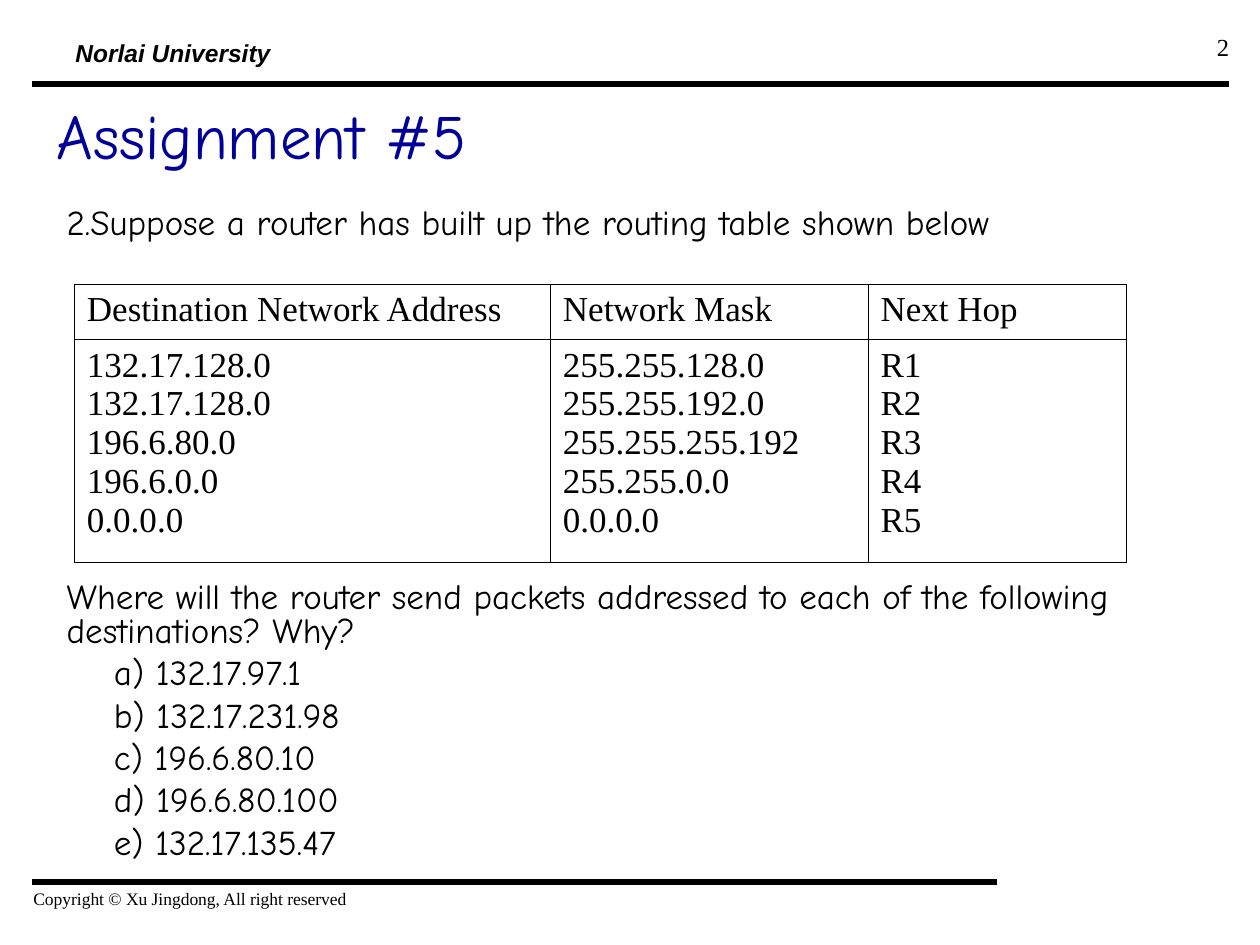
from lxml import etree
from pptx import Presentation
from pptx.dml.color import RGBColor
from pptx.enum import shapes, text
from pptx.oxml import ns
from pptx.util import Pt

BLACK = RGBColor(0x00, 0x00, 0x00)
NAVY = RGBColor(0x00, 0x00, 0x99)
SERIF, SANS, COMIC = "Times New Roman", "Arial", "Comic Neue"
HEADERS = ["Destination Network Address", "Network Mask", "Next Hop"]
ROUTES = [
    ("132.17.128.0", "255.255.128.0", "R1"),
    ("132.17.128.0", "255.255.192.0", "R2"),
    ("196.6.80.0", "255.255.255.192", "R3"),
    ("196.6.0.0", "255.255.0.0", "R4"),
    ("0.0.0.0", "0.0.0.0", "R5"),
]
PROMPT = ("Where will the router send packets addressed to each of the "
          "following destinations? Why?")
DESTINATIONS = ["a) 132.17.97.1", "b) 132.17.231.98", "c) 196.6.80.10",
                "d) 196.6.80.100", "e) 132.17.135.47"]


def apply(obj, values):
    """Set each attribute of an object from a dict."""
    for name, value in values.items():
        setattr(obj, name, value)


def fill_text(tf, lines, font, para=None):
    """Write one paragraph per line with shared formatting."""
    for i, line in enumerate(lines):
        p = tf.add_paragraph() if i else tf.paragraphs[0]
        apply(p, para or {})
        r = p.add_run()
        r.text = line
        font_values = {"name": COMIC, "size": Pt(20), **font}
        color = font_values.pop("color", BLACK)
        apply(r.font, font_values)
        r.font.color.rgb = color


def add_text(s, box, lines, font, para=None, frame=None):
    """Add a text box and return its text frame."""
    tf = s.shapes.add_textbox(*map(Pt, box)).text_frame
    apply(tf, {"word_wrap": True, **(frame or {})})
    fill_text(tf, lines, font, para)
    return tf


def add_rule(s, left, right, y):
    """Add a thick horizontal rule."""
    sp = s.shapes.add_connector(shapes.MSO_CONNECTOR.STRAIGHT,
                                Pt(left), Pt(y), Pt(right), Pt(y))
    sp.line.width = Pt(3)
    sp.line.color.rgb = BLACK
    etree.SubElement(sp._element.spPr, ns.qn("a:effectLst"))


def add_header(s, left, top, width, height):
    """Place the school name, the page number and the top rule."""
    add_text(s, (left + 18, top + 8, 132, 19.5), ["Norlai University"],
             {"name": SANS, "size": Pt(14), "bold": True, "italic": True},
             {"line_spacing": 0.7, "space_before": Pt(3.5)},
             {"word_wrap": False,
              "auto_size": text.MSO_AUTO_SIZE.SHAPE_TO_FIT_TEXT})
    add_text(s, (left + width - 160.5, top, 168, 37.5), ["2"],
             {"name": SERIF, "size": Pt(14)},
             {"alignment": text.PP_ALIGN.RIGHT})
    add_rule(s, left, left + width, top + height)


def add_footer(s, left, top, width, height):
    """Place the bottom rule and the copyright line."""
    add_rule(s, left, left + width, top)
    add_text(s, (left - 6, top, 276, height),
             ["Copyright © Xu Jingdong, All right reserved"],
             {"name": SERIF, "size": Pt(10)})


def add_title(s, left, top, width, height):
    """Place the slide title."""
    add_text(s, (left, top, width, height), ["Assignment #5"],
             {"size": Pt(36), "color": NAVY},
             frame={"vertical_anchor": text.MSO_ANCHOR.MIDDLE})


def add_question(s, left, top, width, height):
    """Place the opening statement, the prompt and its destinations."""
    add_text(s, (left, top, width, 40),
             ["2.Suppose a router has built up the routing table shown below"],
             {}, {"line_spacing": 1.2, "space_before": Pt(12.5)})
    spacing = {"line_spacing": 0.8, "space_before": Pt(5)}
    offset = 223.5
    tf = add_text(s, (left, top + offset, width, height - offset),
                  [PROMPT, *DESTINATIONS], {}, spacing)
    for p in tf.paragraphs[1:]:
        p._p.get_or_add_pPr().set("marL", str(Pt(27)))


def add_border(cell):
    """Draw a thin black line on every side of a cell."""
    tc_pr = cell._tc.get_or_add_tcPr()
    for i, side in enumerate(("lnL", "lnR", "lnT", "lnB")):
        ln = etree.Element(ns.qn(f"a:{side}"), w=str(Pt(0.45)))
        fill = etree.SubElement(ln, ns.qn("a:solidFill"))
        etree.SubElement(fill, ns.qn("a:srgbClr"), val=str(BLACK))
        tc_pr.insert(i, ln)


def add_routing_table(s, left, top, width, height):
    """Place the routing table, with all routes in one body row."""
    table = s.shapes.add_table(2, len(HEADERS), Pt(left), Pt(top),
                               Pt(width), Pt(height)).table
    apply(table, {"first_row": False, "horz_banding": False})
    widths = (272, 181.5, width - 453.5)
    for col, col_width in zip(table.columns, widths):
        col.width = Pt(col_width)
    for row, row_height in zip(table.rows, (31.5, height - 31.5)):
        row.height = Pt(row_height)
    for c, (header, values) in enumerate(zip(HEADERS, zip(*ROUTES))):
        for r, lines in enumerate(([header], values)):
            cell = table.cell(r, c)
            cell.fill.background()
            add_border(cell)
            fill_text(cell.text_frame, lines, {"name": SERIF})


def main():
    """Build and save the slide."""
    prs = Presentation()
    apply(prs, {"slide_width": Pt(720), "slide_height": Pt(540)})
    s = prs.slides.add_slide(prs.slide_layouts[6])
    add_header(s, 18, 15, 684, 33)
    add_footer(s, 18, 504, 552, 24)
    add_title(s, 25.2, 48, 641, 57.6)
    add_question(s, 31, 106, 658, 396.5)
    add_routing_table(s, 42.5, 162.5, 601, 159)
    prs.save("out.pptx")


if __name__ == "__main__":
    main()
